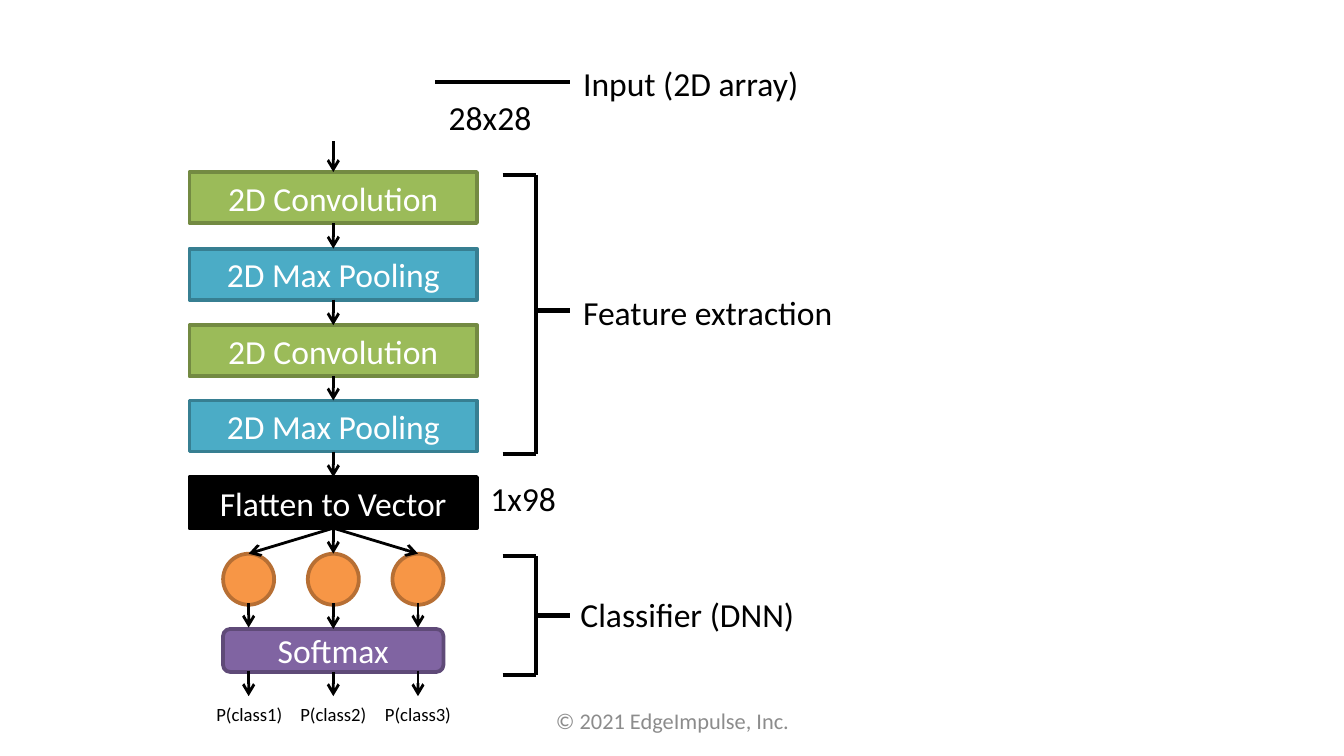
from typing import NamedTuple, Optional

import pptx
import pptx.dml.color
import pptx.enum.shapes
import pptx.enum.text
import pptx.oxml.ns
import pptx.util
from lxml import etree

RGB = pptx.dml.color.RGBColor
KIND = pptx.enum.shapes.MSO_SHAPE
ALIGN = pptx.enum.text.PP_ALIGN
ANCHOR = pptx.enum.text.MSO_ANCHOR
FIT = pptx.enum.text.MSO_AUTO_SIZE

SCALE = 9144
BLACK = RGB(0x00, 0x00, 0x00)
WHITE = RGB(0xFF, 0xFF, 0xFF)
GRAY = RGB(0x8C, 0x8C, 0x8C)
GREEN = RGB(0x9B, 0xBB, 0x59)
OLIVE = RGB(0x73, 0x8A, 0x42)
TEAL = RGB(0x4B, 0xAC, 0xC6)
DEEP = RGB(0x37, 0x7F, 0x92)
ORANGE = RGB(0xF7, 0x96, 0x46)
BROWN = RGB(0xB7, 0x6F, 0x34)
PURPLE = RGB(0x80, 0x64, 0xA2)
PLUM = RGB(0x5F, 0x4A, 0x78)


class Layer(NamedTuple):
    text: str
    fill: RGB
    edge: RGB


class Label(NamedTuple):
    text: str
    left: int
    top: int
    width: int
    wrap: bool = True


class Brace(NamedTuple):
    top: int
    end: int
    mid: int


CONV = Layer("2D Convolution", GREEN, OLIVE)
POOL = Layer("2D Max Pooling", TEAL, DEEP)
FLAT = Layer("Flatten to Vector", BLACK, BLACK)
NODE = Layer("", ORANGE, BROWN)
SOFT = Layer("Softmax", PURPLE, PLUM)

LABELS = [
    Label("Input (2D array)", 424, 42, 208),
    Label("28x28", 324, 67, 82),
    Label("Feature extraction", 424, 212, 208),
    Label("1x98", 355, 351, 69),
    Label("Classifier (DNN)", 422, 437, 185, False),
]
BRACES = [Brace(130, 338, 231), Brace(414, 502, 458)]
MIDDLE = 248
STEP = 63


def px(value: int) -> int:
    return pptx.util.Emu(value * SCALE)


def write(frame, text: str, *, size: int = 18, color: RGB = BLACK,
          align=ALIGN.LEFT, anchor=ANCHOR.TOP, wrap: bool = True,
          inset: Optional[int] = None, grow: bool = False) -> None:
    frame.word_wrap = wrap
    frame.vertical_anchor = anchor
    if grow:
        frame.auto_size = FIT.SHAPE_TO_FIT_TEXT
    if inset is not None:
        frame.margin_left = frame.margin_right = px(inset)
        frame.margin_top = frame.margin_bottom = px(inset)
    para = frame.paragraphs[0]
    para.alignment = align
    run = para.add_run()
    run.text = text
    run.font.name = "Calibri"
    run.font.size = pptx.util.Pt(size)
    run.font.color.rgb = color


def note(slide, text: str, left: int, top: int, width: int, height: int,
         **style) -> None:
    box = slide.shapes.add_textbox(px(left), px(top), px(width), px(height))
    write(box.text_frame, text, **style)


def block(slide, kind, layer: Layer, left: int, top: int, width: int,
          height: int):
    shape = slide.shapes.add_shape(kind, px(left), px(top), px(width), px(height))
    shape.shadow.inherit = False
    shape.fill.solid()
    shape.fill.fore_color.rgb = layer.fill
    shape.line.color.rgb = layer.edge
    shape.line.width = pptx.util.Pt(2)
    if layer.text:
        write(shape.text_frame, layer.text, color=WHITE, align=ALIGN.CENTER,
              anchor=ANCHOR.MIDDLE)
    return shape


def line(slide, x1: int, y1: int, x2: int, y2: int, weight: float = 2.25):
    link = slide.shapes.add_connector(
        pptx.enum.shapes.MSO_CONNECTOR.STRAIGHT, px(x1), px(y1), px(x2), px(y2))
    link.line.color.rgb = BLACK
    link.line.width = pptx.util.Pt(weight)
    etree.SubElement(link._element.spPr, pptx.oxml.ns.qn("a:effectLst"))
    return link


def arrow(slide, x1: int, y1: int, x2: int, y2: int, start=None, end=None) -> None:
    link = line(slide, x1, y1, x2, y2, 1.5)
    tail = etree.SubElement(link.line._get_or_add_ln(), pptx.oxml.ns.qn("a:tailEnd"))
    tail.set("type", "arrow")
    if start is not None:
        link.begin_connect(start, 2)
    if end is not None:
        link.end_connect(end, 0)


def stack(slide):
    last, foot = None, 105
    for i, layer in enumerate([CONV, POOL, CONV, POOL, FLAT]):
        top = round(128 + 56.75 * i)
        box = block(slide, KIND.RECTANGLE, layer, 141, top, 214, 38)
        arrow(slide, MIDDLE, foot, MIDDLE, top, last, box)
        last, foot = box, top + 38
    return last


def output(slide, flat) -> None:
    soft = block(slide, KIND.ROUNDED_RECTANGLE, SOFT, 166, 468, 164, 32)
    for i in range(3):
        mid = MIDDLE + (i - 1) * STEP
        core = soft if i == 1 else None
        node = block(slide, KIND.OVAL, NODE, mid - 19, 412, 38, 38)
        arrow(slide, MIDDLE, 393, mid, 412, flat, node)
        arrow(slide, mid, 449, mid, 467, end=core)
        arrow(slide, mid, 499, mid, 518, start=core)
        width = 63 if i == 0 else 76
        note(slide, f"P(class{i + 1})", mid - width // 2, 523, width, 17,
             size=10, align=ALIGN.CENTER, inset=0, grow=True)


def brace(slide, item: Brace) -> None:
    for y in (item.top, item.end):
        line(slide, 374, y, 399, y)
    line(slide, 399, item.end, 399, item.top)
    line(slide, 399, item.mid, 424, item.mid)


def main() -> None:
    deck = pptx.Presentation()
    deck.slide_width = px(1000)
    deck.slide_height = pptx.util.Pt(405)
    slide = deck.slides.add_slide(deck.slide_layouts[6])
    output(slide, stack(slide))
    for item in BRACES:
        brace(slide, item)
    line(slide, 324, 61, 424, 61)
    for label in LABELS:
        note(slide, label.text, label.left, label.top, label.width, 40,
             wrap=label.wrap, grow=True)
    note(slide, "© 2021 EdgeImpulse, Inc.", 342, 521, 317, 30, size=12,
         color=GRAY, align=ALIGN.CENTER, anchor=ANCHOR.MIDDLE)
    deck.save("out.pptx")


if __name__ == "__main__":
    main()
